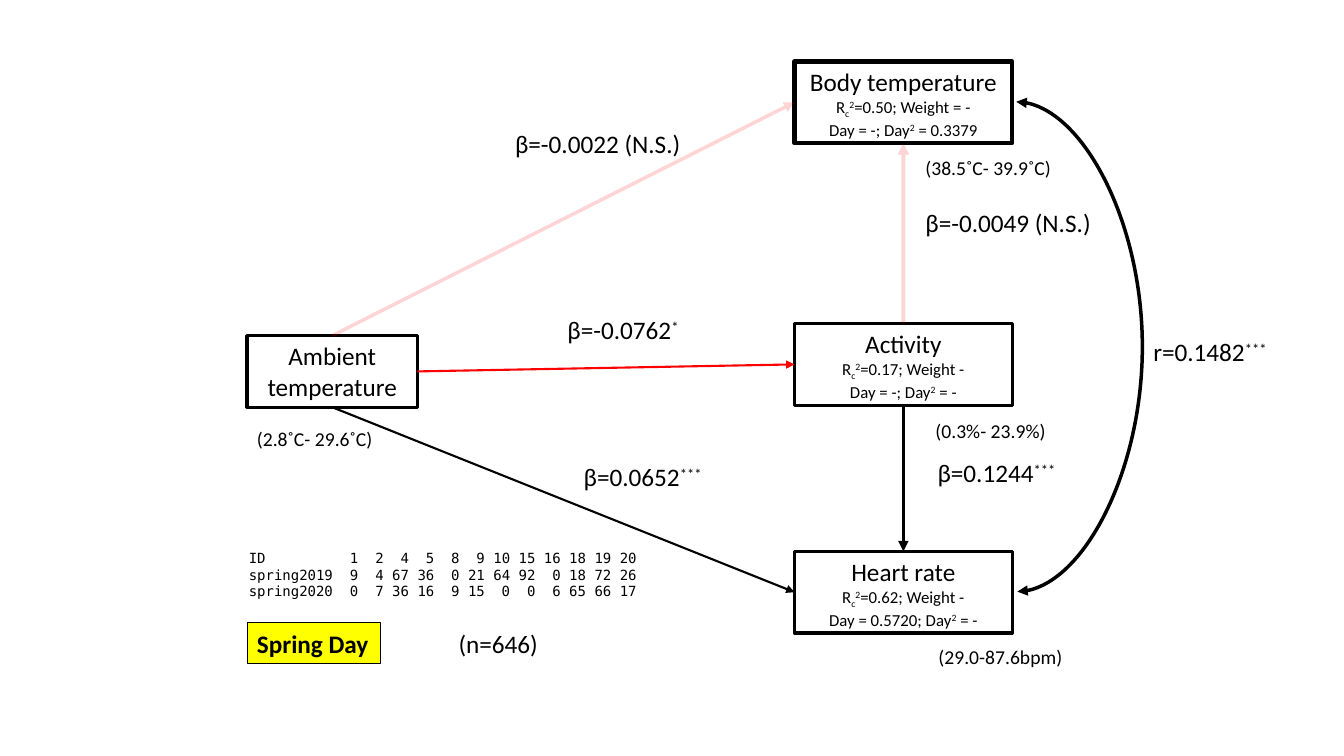
from dataclasses import dataclass

from lxml.etree import SubElement
from pptx import Presentation
from pptx.dml.color import RGBColor
from pptx.enum.dml import MSO_LINE
from pptx.enum.shapes import MSO_CONNECTOR, MSO_SHAPE
from pptx.enum.text import MSO_ANCHOR, MSO_AUTO_SIZE, PP_ALIGN
from pptx.oxml.ns import qn
from pptx.shapes.autoshape import Shape
from pptx.shapes.connector import Connector
from pptx.slide import Slide
from pptx.text.text import TextFrame, _Paragraph as Paragraph
from pptx.util import Inches, Pt

BLACK = RGBColor(0x00, 0x00, 0x00)
RED = RGBColor(0xFF, 0x00, 0x00)
YELLOW = RGBColor(0xFF, 0xFF, 0x00)
SANS = "Calibri"
MONO = "DejaVu Sans Mono"
TOP, LEFT, BOTTOM, RIGHT = range(4)
SUB, SUPER = -25, 30
MONO_ADVANCE = 0.0836


@dataclass(frozen=True)
class Span:
    text: str
    baseline: int = 0


@dataclass(frozen=True)
class Variable:
    name: str
    left: float
    top: float
    width: float
    height: float
    border: float = 2.25
    fit: str = ""
    day: str = ""
    day_squared: str = ""


@dataclass(frozen=True)
class Effect:
    source: str
    source_side: int
    target: str
    target_side: int
    width: float
    color: RGBColor = BLACK
    opacity: int = 100


@dataclass(frozen=True)
class Label:
    text: str
    left: float
    top: float
    width: float
    size: int = 18
    stars: str = ""


VARIABLES = [
    Variable("Ambient temperature", 2.45, 3.33, 1.69, 0.71),
    Variable("Activity", 7.88, 3.21, 2.16, 0.81, 2.25, "0.17; Weight -", "-", "-"),
    Variable("Heart rate", 7.88, 5.47, 2.16, 0.81, 2.25, "0.62; Weight -", "0.5720", "-"),
    Variable("Body temperature", 7.88, 0.61, 2.16, 0.81, 3, "0.50; Weight = -", "-", "0.3379"),
]
EFFECTS = [
    Effect("Ambient temperature", RIGHT, "Activity", LEFT, 1.5, RED),
    Effect("Activity", BOTTOM, "Heart rate", TOP, 2.5),
    Effect("Activity", TOP, "Body temperature", BOTTOM, 2.75, RED, 16),
    Effect("Ambient temperature", TOP, "Body temperature", LEFT, 2.5, RED, 16),
    Effect("Ambient temperature", BOTTOM, "Heart rate", LEFT, 1.5),
]
LABELS = [
    Label("β=0.1244", 9.2, 4.49, 1.42, stars="***"),
    Label("β=-0.0762", 5.53, 3.07, 1.33, stars="*"),
    Label("β=-0.0022 (N.S.)", 5.01, 1.22, 1.86),
    Label("β=0.0652", 5.69, 4.53, 1.42, stars="***"),
    Label("β=-0.0049 (N.S.)", 9.08, 2.01, 1.86),
    Label("r=0.1482", 11.34, 3.29, 1.37, stars="***"),
    Label("(n=646)", 4.45, 6.18, 1.0),
    Label("(2.8˚C- 29.6˚C)", 2.45, 4.19, 1.36, 14),
    Label("(38.5˚C- 39.9˚C)", 9.08, 1.5, 1.46, 14),
    Label("(0.3%- 23.9%)", 9.18, 4.11, 1.3, 14),
    Label("(29.0-87.6bpm)", 9.21, 6.35, 1.44, 14),
]
COUNTS = [
    ["ID", 1, 2, 4, 5, 8, 9, 10, 15, 16, 18, 19, 20],
    ["spring2019", 9, 4, 67, 36, 0, 21, 64, 92, 0, 18, 72, 26],
    ["spring2020", 0, 7, 36, 16, 9, 15, 0, 0, 6, 65, 66, 17],
]


def write(para: Paragraph, spans: list[Span], size: int, font: str = SANS,
          align: PP_ALIGN = PP_ALIGN.LEFT) -> None:
    for span in spans:
        run = para.add_run()
        run.text = span.text
        if span.baseline:
            run._r.get_or_add_rPr().set("baseline", str(span.baseline * 1000))
    para.alignment = align
    para.font.size = Pt(size)
    para.font.name = font
    para.font.color.rgb = BLACK


def set_frame(frame: TextFrame, wrap: bool) -> None:
    frame.word_wrap = wrap
    frame.auto_size = MSO_AUTO_SIZE.SHAPE_TO_FIT_TEXT
    frame.vertical_anchor = MSO_ANCHOR.TOP


def add_box(page: Slide, left: float, top: float, width: float, height: float,
            border: float) -> Shape:
    box = page.shapes.add_shape(
        MSO_SHAPE.RECTANGLE, Inches(left), Inches(top), Inches(width), Inches(height))
    box.shadow.inherit = False
    box.fill.background()
    box.line.color.rgb = BLACK
    box.line.width = Pt(border)
    return box


def add_variable(page: Slide, item: Variable) -> Shape:
    box = add_box(page, item.left, item.top, item.width, item.height, item.border)
    frame = box.text_frame
    set_frame(frame, True)
    write(frame.paragraphs[0], [Span(item.name)], 18, align=PP_ALIGN.CENTER)
    if item.fit:
        fit = [Span("R"), Span("c", SUB), Span("2", SUPER), Span(f"={item.fit}")]
        day = [Span(f"Day = {item.day}; Day"), Span("2", SUPER),
               Span(f" = {item.day_squared}")]
        for spans in (fit, day):
            write(frame.add_paragraph(), spans, 12, align=PP_ALIGN.CENTER)
    return box


def style_arrow(arrow: Connector, color: RGBColor, width: float, ends: list[str],
                opacity: int = 100) -> None:
    arrow.line.color.rgb = color
    arrow.line.width = Pt(width)
    arrow.line.dash_style = MSO_LINE.SOLID
    line = arrow.line._get_or_add_ln()
    if opacity < 100:
        paint = line.find(f"{qn('a:solidFill')}/{qn('a:srgbClr')}")
        SubElement(paint, qn("a:alpha")).set("val", str(opacity * 1000))
    for end in ends:
        SubElement(line, qn(end)).set("type", "triangle")
    SubElement(arrow._element.spPr, qn("a:effectLst"))


def add_effect(page: Slide, effect: Effect, boxes: dict[str, Shape]) -> None:
    arrow = page.shapes.add_connector(MSO_CONNECTOR.STRAIGHT, 0, 0, 0, 0)
    arrow.begin_connect(boxes[effect.source], effect.source_side)
    arrow.end_connect(boxes[effect.target], effect.target_side)
    style_arrow(arrow, effect.color, effect.width, ["a:tailEnd"], effect.opacity)


def add_correlation(page: Slide) -> None:
    start, end, bulge = 10.08, 10.09, 1.27
    curve = page.shapes.add_connector(
        MSO_CONNECTOR.CURVE, Inches(start), Inches(1.01), Inches(end), Inches(5.87))
    guides = curve._element.spPr.find(qn("a:prstGeom")).get_or_add_avLst()
    guide = SubElement(guides, qn("a:gd"))
    guide.set("name", "adj1")
    guide.set("fmla", f"val {round(bulge / (end - start) * 100000)}")
    style_arrow(curve, BLACK, 2.5, ["a:headEnd", "a:tailEnd"])


def add_label(page: Slide, label: Label) -> None:
    height = 0.4 if label.size == 18 else 0.34
    box = page.shapes.add_textbox(
        Inches(label.left), Inches(label.top), Inches(label.width), Inches(height))
    set_frame(box.text_frame, False)
    spans = [Span(label.text)]
    if label.stars:
        spans.append(Span(label.stars, SUPER))
    write(box.text_frame.paragraphs[0], spans, label.size)


def add_season(page: Slide) -> None:
    box = add_box(page, 2.45, 6.18, 1.32, 0.4, 0.75)
    box.fill.solid()
    box.fill.fore_color.rgb = YELLOW
    set_frame(box.text_frame, False)
    para = box.text_frame.paragraphs[0]
    write(para, [Span("Spring Day")], 18)
    para.font.bold = True


def add_counts(page: Slide) -> None:
    box = page.shapes.add_textbox(Inches(2.37), Inches(5.4), Inches(4.3), Inches(0.61))
    frame = box.text_frame
    set_frame(frame, True)
    for index, row in enumerate(COUNTS):
        para = frame.add_paragraph() if index else frame.paragraphs[0]
        tabs = SubElement(para._p.get_or_add_pPr(), qn("a:tabLst"))
        for column in range(1, len(row)):
            tab = SubElement(tabs, qn("a:tab"))
            tab.set("pos", str(Inches((10 + 3 * column) * MONO_ADVANCE)))
            tab.set("algn", "r")
        write(para, [Span("\t".join(map(str, row)))], 10, MONO)


def main() -> None:
    deck = Presentation()
    deck.slide_width, deck.slide_height = Inches(13.33), Inches(7.5)
    page = deck.slides.add_slide(deck.slide_layouts[6])
    boxes = {item.name: add_variable(page, item) for item in VARIABLES}
    for effect in EFFECTS:
        add_effect(page, effect, boxes)
    add_correlation(page)
    for label in LABELS:
        add_label(page, label)
    add_season(page)
    add_counts(page)
    deck.save("out.pptx")


if __name__ == "__main__":
    main()
